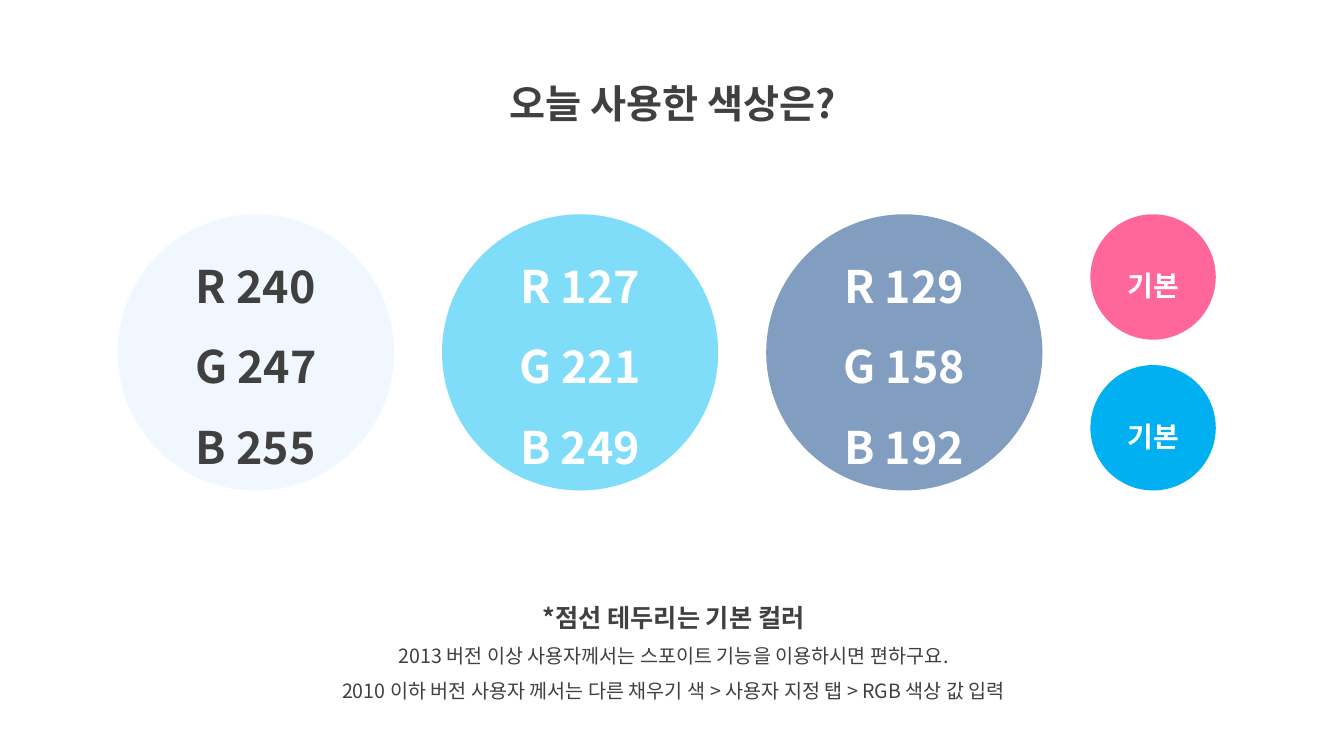
"""Build the slide listing the colours used today."""
import pptx
import pptx.dml.color
import pptx.enum.shapes
import pptx.enum.text
import pptx.oxml.ns
import pptx.util
from lxml import etree

Cm = pptx.util.Cm
RGBColor = pptx.dml.color.RGBColor

FONT = "Noto Sans CJK KR"
DARK = RGBColor(0x40, 0x40, 0x40)
WHITE = RGBColor(0xFF, 0xFF, 0xFF)
PINK = RGBColor(0xFF, 0x66, 0x99)
BLUE = RGBColor(0x00, 0xB0, 0xF0)

TITLE = [("오늘 사용한 색상은?", 28, True)]
NOTES = [
    ("*점선 테두리는 기본 컬러", 18, True),
    ("2013 버전 이상 사용자께서는 스포이트 기능을 이용하시면 편하구요.", 14, False),
    ("2010 이하 버전 사용자 께서는 다른 채우기 색 > 사용자 지정 탭 > RGB 색상 값 입력", 14, False),
]
PALETTE = [
    ((240, 247, 255), DARK),
    ((127, 221, 249), WHITE),
    ((129, 158, 192), WHITE),
]
BASICS = [("기본", PINK), ("기본", BLUE)]

LEFT, TOP, GAP = 2.97, 5.4, 1.21
LARGE, SMALL = 6.96, 3.16


def write(frame, lines, color):
    frame.word_wrap = True
    frame.text = "\n".join(text for text, size, bold in lines)
    for paragraph, (text, size, bold) in zip(frame.paragraphs, lines):
        paragraph.alignment = pptx.enum.text.PP_ALIGN.CENTER
        paragraph.line_spacing = 1.5
        for run in paragraph.runs:
            run.font.name = FONT
            run.font.size = pptx.util.Pt(size)
            run.font.bold = bold
            run.font.color.rgb = color
            east_asian = etree.SubElement(run.font._element, pptx.oxml.ns.qn("a:ea"))
            east_asian.set("typeface", FONT)


def add_text(slide, left, top, width, height, lines):
    box = slide.shapes.add_textbox(Cm(left), Cm(top), Cm(width), Cm(height))
    write(box.text_frame, lines, DARK)


def add_circle(slide, left, top, diameter, fill, lines, color):
    circle = slide.shapes.add_shape(
        pptx.enum.shapes.MSO_SHAPE.OVAL, Cm(left), Cm(top), Cm(diameter), Cm(diameter))
    circle.shadow.inherit = False
    circle.fill.solid()
    circle.fill.fore_color.rgb = fill
    circle.line.fill.background()
    circle.text_frame.vertical_anchor = pptx.enum.text.MSO_ANCHOR.MIDDLE
    write(circle.text_frame, lines, color)


def main():
    deck = pptx.Presentation()
    deck.slide_width, deck.slide_height = Cm(33.87), Cm(19.05)
    slide = deck.slides.add_slide(deck.slide_layouts[6])

    add_text(slide, 11.07, 1.27, 11.76, 1.83, TITLE)
    add_text(slide, 6.83, 14.66, 20.29, 3.2, NOTES)

    for column, (rgb, color) in enumerate(PALETTE):
        channels = [(f"{name} {value}", 32, True) for name, value in zip("RGB", rgb)]
        add_circle(slide, LEFT + column * (LARGE + GAP), TOP, LARGE,
                   RGBColor(*rgb), channels, color)

    basics_left = LEFT + len(PALETTE) * (LARGE + GAP)
    for row, (label, fill) in enumerate(BASICS):
        add_circle(slide, basics_left, TOP + row * (LARGE - SMALL), SMALL,
                   fill, [(label, 20, True)], WHITE)

    deck.save("out.pptx")


if __name__ == "__main__":
    main()
